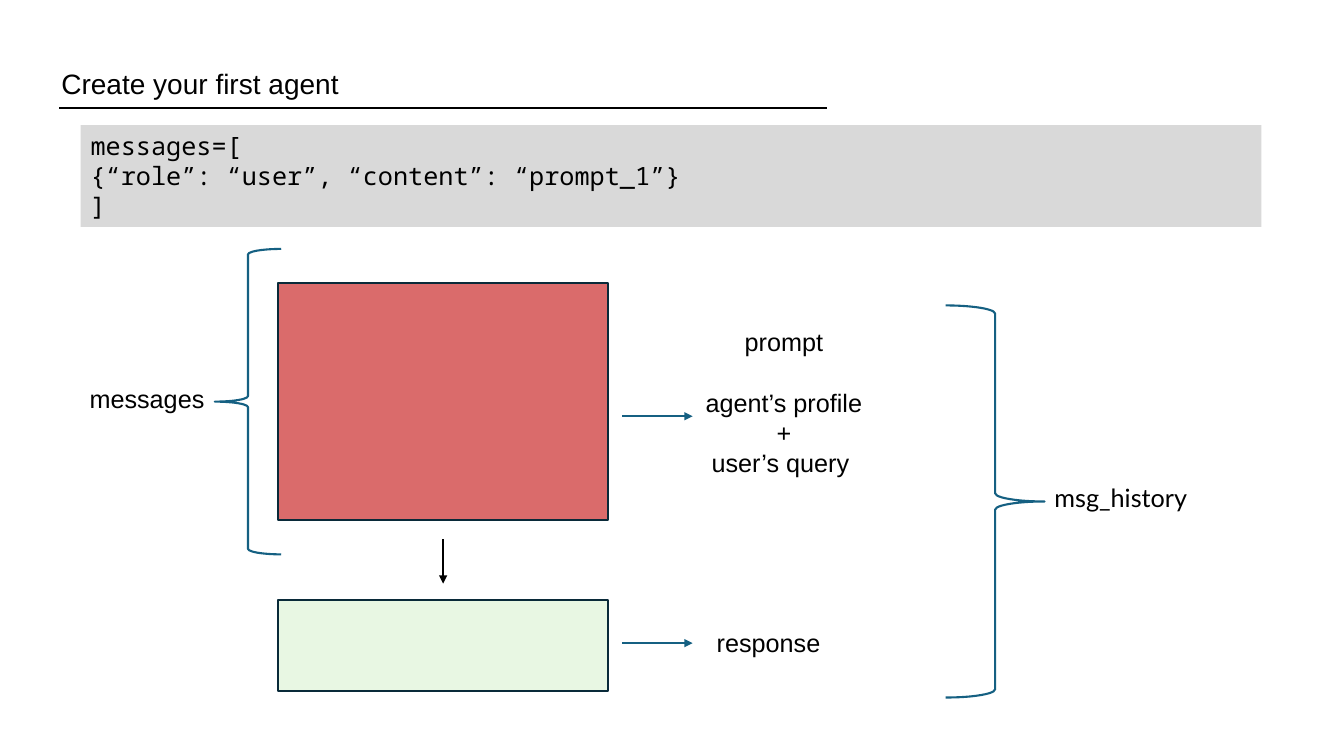
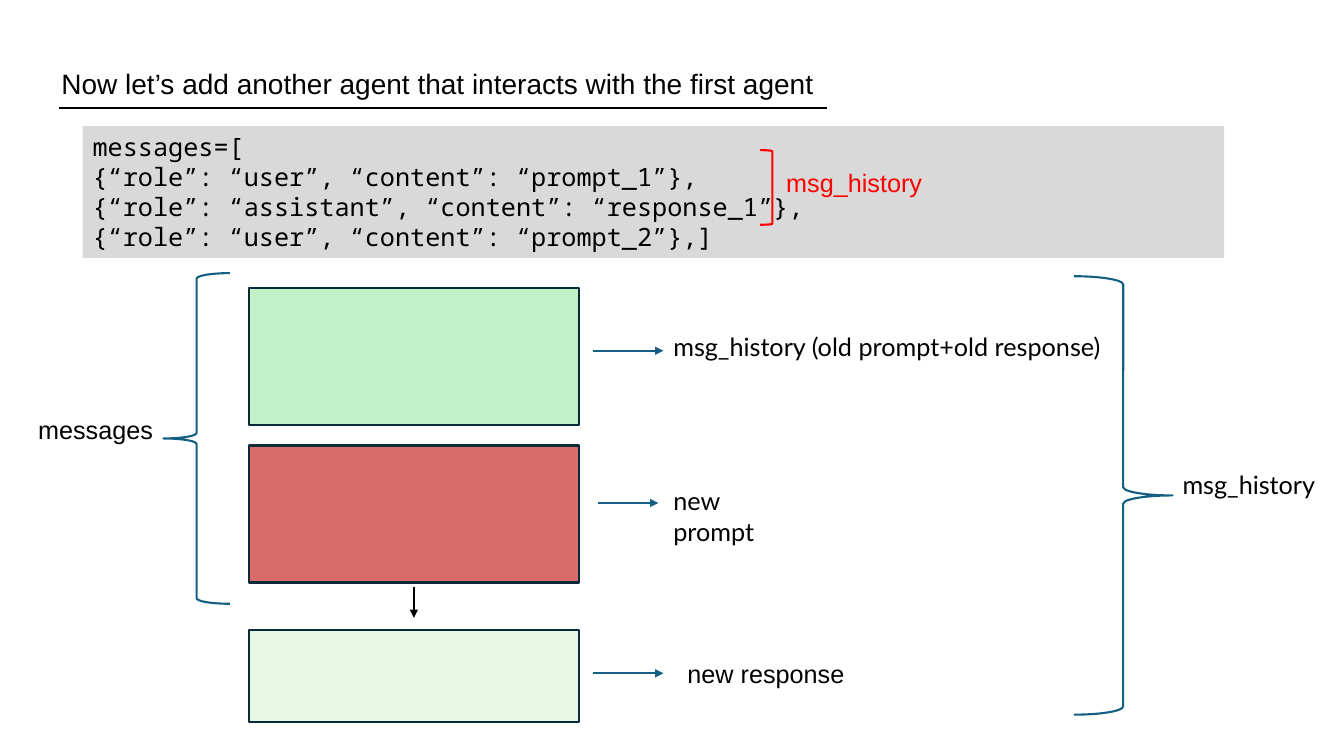
import lxml.etree
import pptx
import pptx.dml.color
import pptx.enum.shapes
import pptx.enum.text
import pptx.oxml.ns
import pptx.util

Inches = pptx.util.Inches
Pt = pptx.util.Pt
RGBColor = pptx.dml.color.RGBColor
Shape = pptx.enum.shapes.MSO_SHAPE
Align = pptx.enum.text.PP_ALIGN
Anchor = pptx.enum.text.MSO_ANCHOR
AutoSize = pptx.enum.text.MSO_AUTO_SIZE
qn = pptx.oxml.ns.qn

BLACK = RGBColor(0x00, 0x00, 0x00)
RED = RGBColor(0xFF, 0x00, 0x00)
BLUE = RGBColor(0x15, 0x60, 0x82)
NAVY = RGBColor(0x09, 0x2A, 0x39)
GREY = RGBColor(0xD9, 0xD9, 0xD9)
PROMPT_RED = RGBColor(0xC0, 0x00, 0x00)
RESPONSE_GREEN = RGBColor(0xD9, 0xF2, 0xD0)
HISTORY_GREEN = RGBColor(0xC2, 0xF1, 0xC8)

SANS = "Arial"
LATO = "Lato"
MONO = "Noto Sans Mono"
LINE_WIDTH = Pt(1.5)
LINE_PITCH = 1.2
TRANSLUCENT = 58
BLOCK_WIDTH = 3.27
ARROW_GAP = 0.14
ARROW_LENGTH = 0.7
LABEL_HEIGHT = 0.4


def write_lines(text_frame, lines, font=SANS, size=18, color=BLACK, align=Align.LEFT, gap_after_first=0):
    """Write one paragraph per line, with an optional gap below the first."""
    for index, line in enumerate(lines):
        paragraph = text_frame.paragraphs[0] if index == 0 else text_frame.add_paragraph()
        paragraph.alignment = align
        paragraph.line_spacing = Pt(size * LINE_PITCH)
        if index == 1 and gap_after_first:
            paragraph.space_before = Pt(gap_after_first)
        run = paragraph.add_run()
        run.text = line
        run.font.name = font
        run.font.size = Pt(size)
        run.font.color.rgb = color


def add_label(slide, box, lines, wrap=False, **style):
    """Add a text box that grows with its text."""
    label = slide.shapes.add_textbox(*map(Inches, box))
    label.text_frame.word_wrap = wrap
    label.text_frame.auto_size = AutoSize.SHAPE_TO_FIT_TEXT
    write_lines(label.text_frame, lines, **style)


def add_line(slide, start, end, color=BLACK, arrow=False):
    """Draw a straight line, with a triangle at its end if asked."""
    connector = slide.shapes.add_connector(
        pptx.enum.shapes.MSO_CONNECTOR.STRAIGHT, *map(Inches, (*start, *end)))
    connector.line.color.rgb = color
    connector.line.width = LINE_WIDTH
    if arrow:
        tail = lxml.etree.SubElement(connector.line._get_or_add_ln(), qn("a:tailEnd"))
        tail.set("type", "triangle")
    lxml.etree.SubElement(connector._element.spPr, qn("a:effectLst"))


def add_figure(slide, kind, box, fill=None, line=None, opacity=100):
    """Add a preset shape with the given fill and outline."""
    shape = slide.shapes.add_shape(kind, *map(Inches, box))
    shape.shadow.inherit = False
    if fill is None:
        shape.fill.background()
    else:
        shape.fill.solid()
        shape.fill.fore_color.rgb = fill
        if opacity < 100:
            color = shape._element.spPr.find(qn("a:solidFill")).find(qn("a:srgbClr"))
            lxml.etree.SubElement(color, qn("a:alpha")).set("val", str(opacity * 1000))
    if line is None:
        shape.line.fill.background()
    else:
        shape.line.color.rgb = line
        shape.line.width = LINE_WIDTH
    return shape


def add_title(slide, text, width):
    """Add the title and the rule under it."""
    add_label(slide, (0.51, 0.61, width, 0.44), [text], size=20)
    add_line(slide, (0.59, 1.07), (8.2, 1.07))


def add_code(slide, box, lines):
    """Add a grey panel of code."""
    panel = add_figure(slide, Shape.RECTANGLE, box, fill=GREY)
    panel.text_frame.word_wrap = True
    panel.text_frame.vertical_anchor = Anchor.TOP
    write_lines(panel.text_frame, lines, font=MONO)


def add_block(slide, left, top, height, fill, arrow_y, opacity=100, arrow_inset=0):
    """Add a coloured block and the arrow leading right from it."""
    add_figure(slide, Shape.RECTANGLE, (left, top, BLOCK_WIDTH, height), fill, NAVY, opacity)
    start = left + BLOCK_WIDTH + ARROW_GAP
    add_line(slide, (start + arrow_inset, arrow_y),
             (start + ARROW_LENGTH - arrow_inset, arrow_y), BLUE, arrow=True)


def add_messages_brace(slide, left, top, height, label_top):
    """Add the left brace with its label on the left."""
    add_figure(slide, Shape.LEFT_BRACE, (left, top, 0.66, height), line=BLUE)
    add_label(slide, (left - 1.34, label_top, 1.35, LABEL_HEIGHT), ["messages"])


def add_history_brace(slide, left, top, height, label_top):
    """Add the right brace with its label on the right."""
    add_figure(slide, Shape.RIGHT_BRACE, (left, top, 0.98, height), line=BLUE)
    add_label(slide, (left + 0.98, label_top, 1.52, LABEL_HEIGHT), ["msg_history"], font=LATO)


def add_down_arrow(slide, block_left, top, bottom):
    """Add the arrow from the prompt block to the response block."""
    center = block_left + BLOCK_WIDTH / 2
    add_line(slide, (center, top), (center, bottom), arrow=True)


def build_first_agent(slide):
    """Build the slide on the first agent."""
    left = 2.76
    add_title(slide, "Create your first agent", 2.97)
    add_code(slide, (0.8, 1.24, 11.71, 1.01), [
        "messages=[",
        "{“role”: “user”, “content”: “prompt_1”}",
        "]",
    ])
    add_block(slide, left, 2.81, 2.35, PROMPT_RED, 4.13, TRANSLUCENT)
    add_label(slide, (6.89, 3.19, 1.77, 1.62),
              ["prompt", "agent’s profile", "+", "user’s query "],
              align=Align.CENTER, gap_after_first=18 * LINE_PITCH)
    add_down_arrow(slide, left, 5.35, 5.79)
    add_block(slide, left, 5.95, 0.91, RESPONSE_GREEN, 6.38, TRANSLUCENT)
    add_label(slide, (7.01, 6.17, 1.24, LABEL_HEIGHT), ["response"])
    add_messages_brace(slide, 2.13, 2.47, 3.03, 3.75)
    add_history_brace(slide, 9.38, 3.03, 3.89, 4.74)


def build_second_agent(slide):
    """Build the slide on the agent that answers the first."""
    left = 2.47
    add_title(slide, "Now let’s add another agent that interacts with the first agent", 7.72)
    add_code(slide, (0.82, 1.25, 11.32, 1.31), [
        "messages=[",
        "{“role”: “user”, “content”: “prompt_1”},",
        "{“role”: “assistant”, “content”: “response_1”},",
        "{“role”: “user”, “content”: “prompt_2”},]",
    ])
    add_figure(slide, Shape.RIGHT_BRACKET, (7.54, 1.49, 0.12, 0.74), line=RED)
    add_label(slide, (7.7, 1.61, 1.56, LABEL_HEIGHT), ["msg_history"], color=RED)
    add_block(slide, left, 2.86, 1.36, HISTORY_GREEN, 3.48)
    add_label(slide, (6.58, 3.24, 4.46, LABEL_HEIGHT),
              ["msg_history (old prompt+old response)"], font=LATO)
    add_block(slide, left, 4.42, 1.36, PROMPT_RED, 4.99, TRANSLUCENT, arrow_inset=0.05)
    add_label(slide, (6.58, 4.77, 1.1, 0.7), ["new prompt"], wrap=True, font=LATO)
    add_down_arrow(slide, left, 5.82, 6.13)
    add_block(slide, left, 6.25, 0.91, RESPONSE_GREEN, 6.68, TRANSLUCENT)
    add_label(slide, (6.72, 6.48, 1.77, LABEL_HEIGHT), ["new response"])
    add_messages_brace(slide, 1.62, 2.71, 3.28, 4.06)
    add_history_brace(slide, 10.65, 2.74, 4.35, 4.61)


def main():
    """Build and save the presentation."""
    presentation = pptx.Presentation()
    presentation.slide_width = Inches(13.33)
    presentation.slide_height = Inches(7.5)
    for build in (build_first_agent, build_second_agent):
        build(presentation.slides.add_slide(presentation.slide_layouts[6]))
    presentation.save("out.pptx")


if __name__ == "__main__":
    main()
